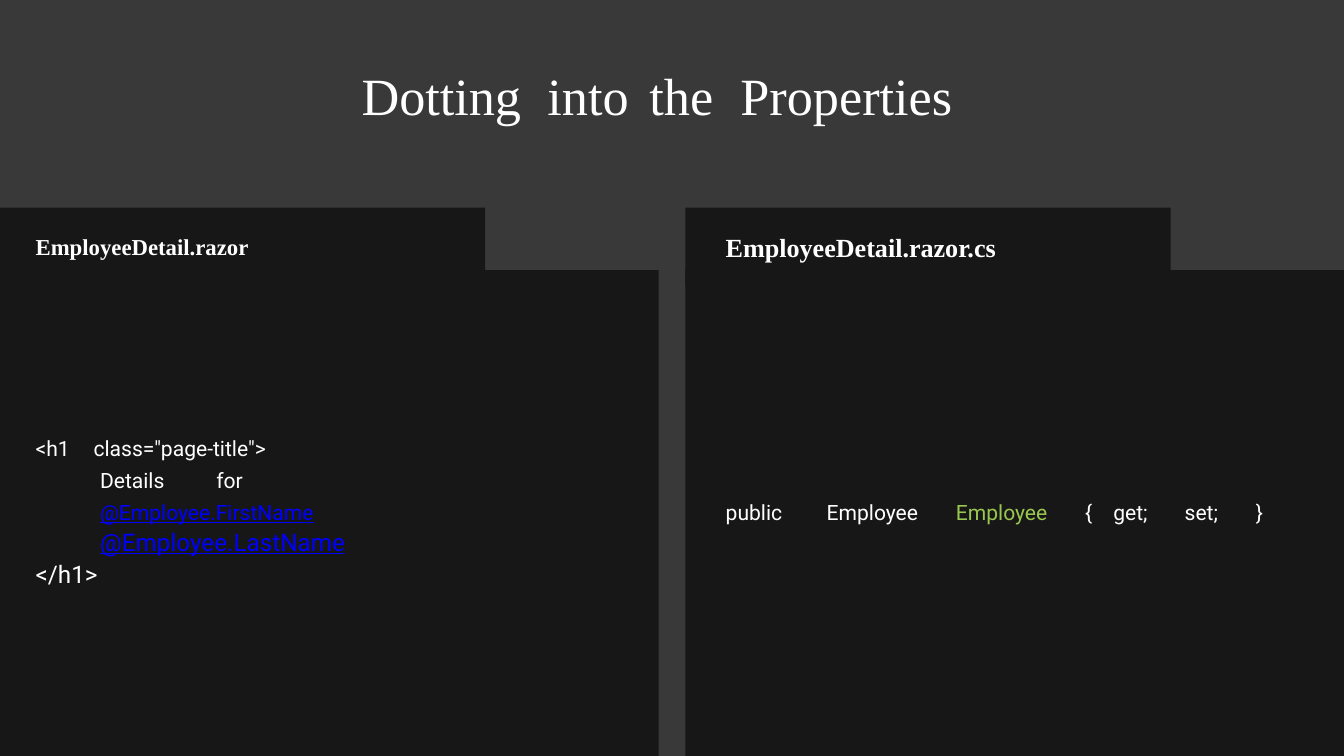
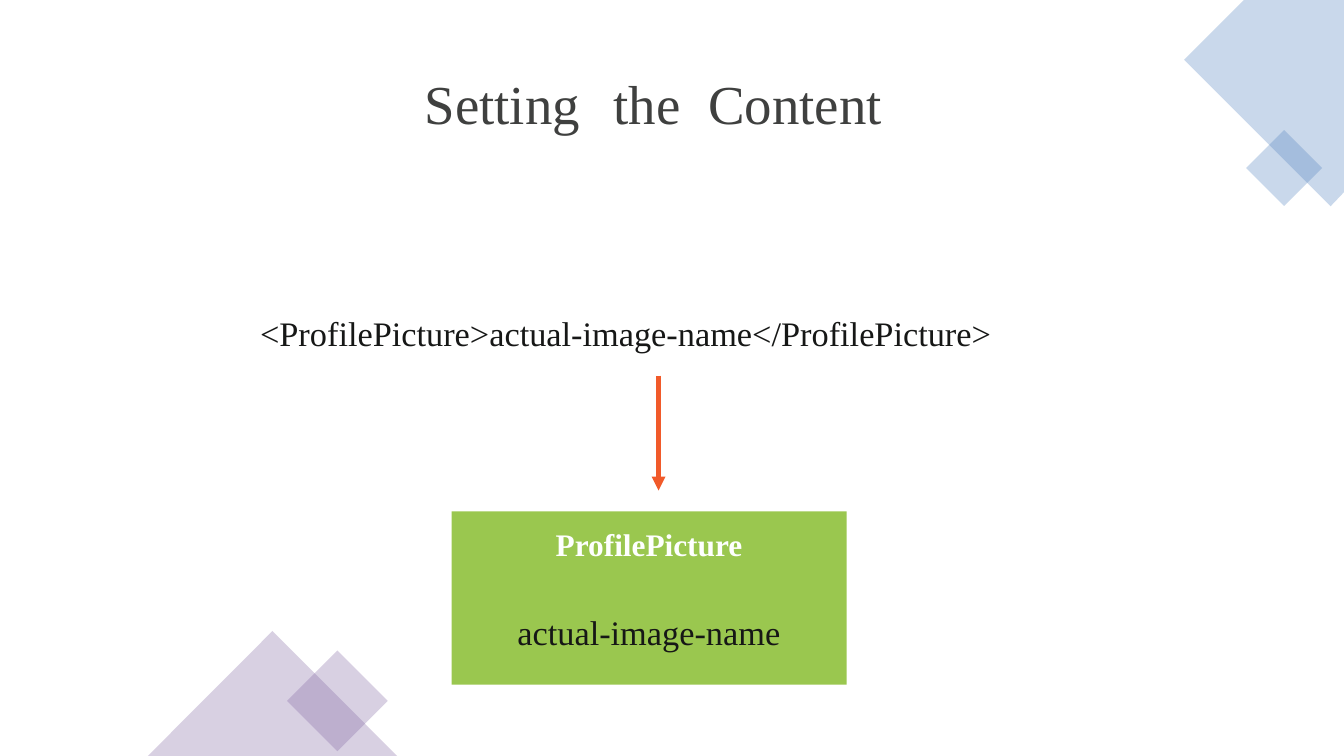
"""Build two slides on Razor component properties and content."""
from lxml import etree
from pptx import Presentation
from pptx.dml.color import RGBColor
from pptx.enum.shapes import MSO_CONNECTOR as CONN, MSO_SHAPE as SHAPE
from pptx.enum.text import MSO_ANCHOR as ANCHOR, MSO_AUTO_SIZE as AUTO, PP_ALIGN as ALIGN
from pptx.oxml.ns import qn
from pptx.util import Inches, Pt

WHITE = RGBColor(0xFE, 0xFF, 0xFE)
GREY = RGBColor(0x38, 0x39, 0x38)
INK = RGBColor(0x16, 0x17, 0x16)
TITLE_GREY = RGBColor(0x3F, 0x40, 0x3F)
GREEN = RGBColor(0x9A, 0xC7, 0x4F)
ORANGE = RGBColor(0xF1, 0x5A, 0x2A)
LINK = RGBColor(0x00, 0x00, 0xFF)
BLUE = RGBColor(0x4F, 0x81, 0xBD)
PURPLE = RGBColor(0x80, 0x64, 0xA2)

COLS, ROWS = 20, 11.25
SERIF, SANS = "Times New Roman", "Roboto"
CODE_SIZE, CODE_PITCH = 22.6, 34


class Deck:
    """Holds the grid, the fonts and the current slide."""

    def __init__(self):
        self.prs = Presentation()
        self.prs.slide_width, self.prs.slide_height = Inches(COLS), Inches(ROWS)
        self.cell = self.prs.slide_width // COLS
        self.slide = None

    def at(self, *cells):
        """Turn grid cells into lengths."""
        return [round(c * self.cell) for c in cells]

    def add_slide(self, background=None):
        """Start a title-only slide."""
        self.slide = self.prs.slides.add_slide(self.prs.slide_layouts[5])
        if background is not None:
            fill = self.slide.background.fill
            fill.solid()
            fill.fore_color.rgb = background

    def frame(self, sp):
        """Prepare a text frame without margins."""
        tf = sp.text_frame
        tf.word_wrap, tf.auto_size = True, AUTO.NONE
        tf.vertical_anchor = ANCHOR.TOP
        tf.margin_left = tf.margin_right = tf.margin_top = tf.margin_bottom = 0
        return tf

    def style(self, p, size, color, font=SERIF, bold=False, underline=False):
        """Format every run of a paragraph."""
        for r in p.runs:
            f = r.font
            f.name, f.size, f.bold, f.underline = font, Pt(size), bold, underline
            f.color.rgb = color

    def spread(self, p, text, gaps):
        """Write words whose spaces are widened by the given points."""
        first, *rest = text.split(" ")
        p.text = first
        for gap, word in zip(gaps, rest):
            r = p.add_run()
            r.text = " "
            r._r.get_or_add_rPr().set("spc", str(gap * 100))
            p.add_run().text = word

    def title(self, text, gaps, box, size, color):
        """Place and format the title placeholder."""
        sp = self.slide.shapes.title
        sp.left, sp.top, sp.width, sp.height = self.at(*box)
        p = self.frame(sp).paragraphs[0]
        self.spread(p, text, gaps)
        p.alignment = ALIGN.LEFT
        self.style(p, size, color)

    def text(self, text, box, size, color, bold=False):
        """Add a one-line text box."""
        tf = self.frame(self.slide.shapes.add_textbox(*self.at(*box)))
        tf.text = text
        self.style(tf.paragraphs[0], size, color, bold=bold)

    def code(self, lines, box):
        """Add code lines given as text, gaps, indent, size, colour and underline."""
        tf = self.frame(self.slide.shapes.add_textbox(*self.at(*box)))
        for i, (text, gaps, indent, size, color, underline) in enumerate(lines):
            p = tf.add_paragraph() if i else tf.paragraphs[0]
            p._p.get_or_add_pPr().set("marL", str(self.at(indent)[0]))
            p.line_spacing = Pt(CODE_PITCH)
            self.spread(p, text, gaps)
            self.style(p, size, color, SANS, underline=underline)
        return tf

    def paint(self, sp, color, alpha=None):
        """Fill a shape without line or shadow."""
        sp.shadow.inherit = False
        sp.fill.solid()
        sp.fill.fore_color.rgb = color
        sp.line.fill.background()
        if alpha:
            clr = sp._element.spPr.find(qn("a:solidFill"))[0]
            etree.SubElement(clr, qn("a:alpha"), val=str(alpha * 1000))
        return sp

    def shape(self, box, color, kind=SHAPE.RECTANGLE, alpha=None, rotation=0):
        """Add a preset shape."""
        sp = self.slide.shapes.add_shape(kind, *self.at(*box))
        sp.rotation = rotation
        return self.paint(sp, color, alpha)

    def outline(self, points, color, alpha):
        """Add a closed polygon."""
        start, *rest = [self.at(*pt) for pt in points]
        fb = self.slide.shapes.build_freeform(*start)
        fb.add_line_segments(rest, close=True)
        return self.paint(fb.convert_to_shape(), color, alpha)

    def arrow(self, ends, color, width):
        """Add a straight arrow."""
        c = self.slide.shapes.add_connector(CONN.STRAIGHT, *self.at(*ends))
        c.line.color.rgb, c.line.width = color, Pt(width)
        etree.SubElement(c.line._get_or_add_ln(), qn("a:tailEnd"), type="triangle")
        etree.SubElement(c._element.spPr, qn("a:effectLst"))


def properties_slide(deck):
    """Show two code files side by side."""
    deck.add_slide(GREY)
    deck.title("Dotting into the Properties", (14, 8, 15), (5.38, 0.94, 10, 1), 56, WHITE)
    for x in (10.2, 0):
        deck.shape((x, 4.02, 9.8, 7.23), INK)
        deck.shape((x, 3.09, 7.22, 1.17), INK)
    deck.text("EmployeeDetail.razor", (0.53, 3.46, 6, 0.5), 24.4, WHITE, True)
    deck.text("EmployeeDetail.razor.cs", (10.8, 3.45, 6, 0.5), 28, WHITE, True)
    deck.code([
        ('<h1 class="page-title">', [20], 0, CODE_SIZE, WHITE, False),
        ("Details for", [50], 0.96, CODE_SIZE, WHITE, False),
        ("@Employee.FirstName", [], 0.96, CODE_SIZE, LINK, True),
        ("@Employee.LastName", [], 0.96, 26, LINK, True),
        ("</h1>", [], 0, 26, WHITE, False),
    ], (0.53, 6.39, 8, 2.4))
    tf = deck.code([
        ("public Employee Employee { get; set; }", [42, 35, 35, 17, 34, 35],
         0, CODE_SIZE, WHITE, False),
    ], (10.8, 7.34, 9, 0.5))
    tf.paragraphs[0].runs[4].font.color.rgb = GREEN


def content_slide(deck):
    """Show how content flows into a component."""
    deck.add_slide()
    deck.outline([(20, 0), (18.51, 0), (17.62, 0.89), (19.8, 3.07), (20, 2.86)], BLUE, 30)
    deck.shape((18.71, 2.1, 0.8, 0.8), BLUE, alpha=30, rotation=315)
    deck.shape((4.49, 9.9, 1.06, 1.06), PURPLE, alpha=30, rotation=45)
    deck.shape((2.2, 9.39, 3.71, 1.86), PURPLE, SHAPE.ISOSCELES_TRIANGLE, 30)
    deck.title("Setting the Content", (21, 15), (6.32, 1.03, 9, 1), 58.8, TITLE_GREY)
    deck.text("<ProfilePicture>actual-image-name</ProfilePicture>",
              (3.87, 4.65, 12.29, 0.6), 36.8, INK)
    deck.arrow((9.8, 5.59, 9.8, 7.3), ORANGE, 5)
    tf = deck.frame(deck.shape((6.72, 7.61, 5.88, 2.58), GREEN))
    tf.margin_top = deck.at(0.2)[0]
    tf.text = "ProfilePicture\nactual-image-name"
    name, value = tf.paragraphs
    name.alignment = value.alignment = ALIGN.CENTER
    value.space_before = Pt(52)
    deck.style(name, 33.6, WHITE, bold=True)
    deck.style(value, 36.8, INK)


def main():
    """Build and save the deck."""
    deck = Deck()
    properties_slide(deck)
    content_slide(deck)
    deck.prs.save("out.pptx")


if __name__ == "__main__":
    main()
